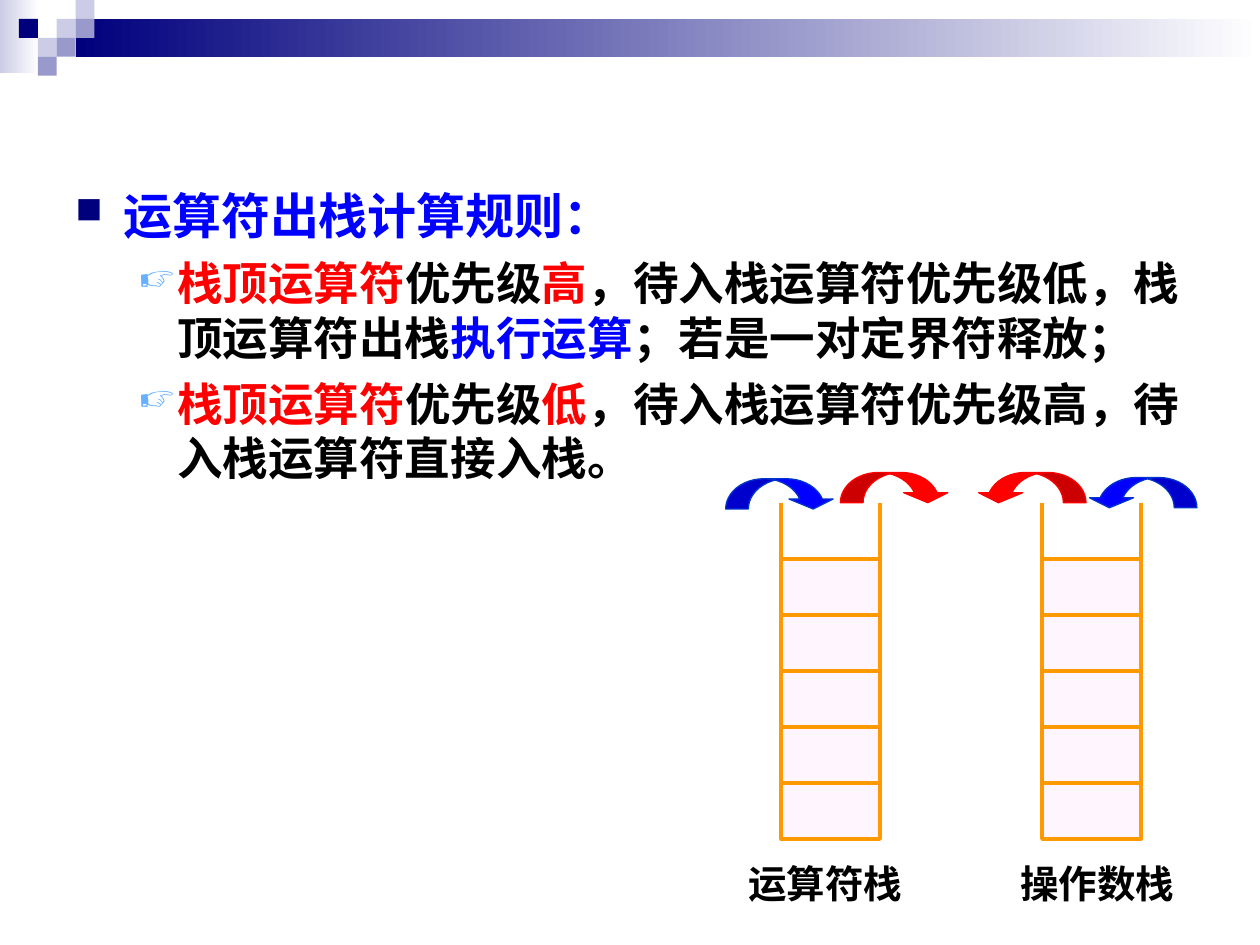
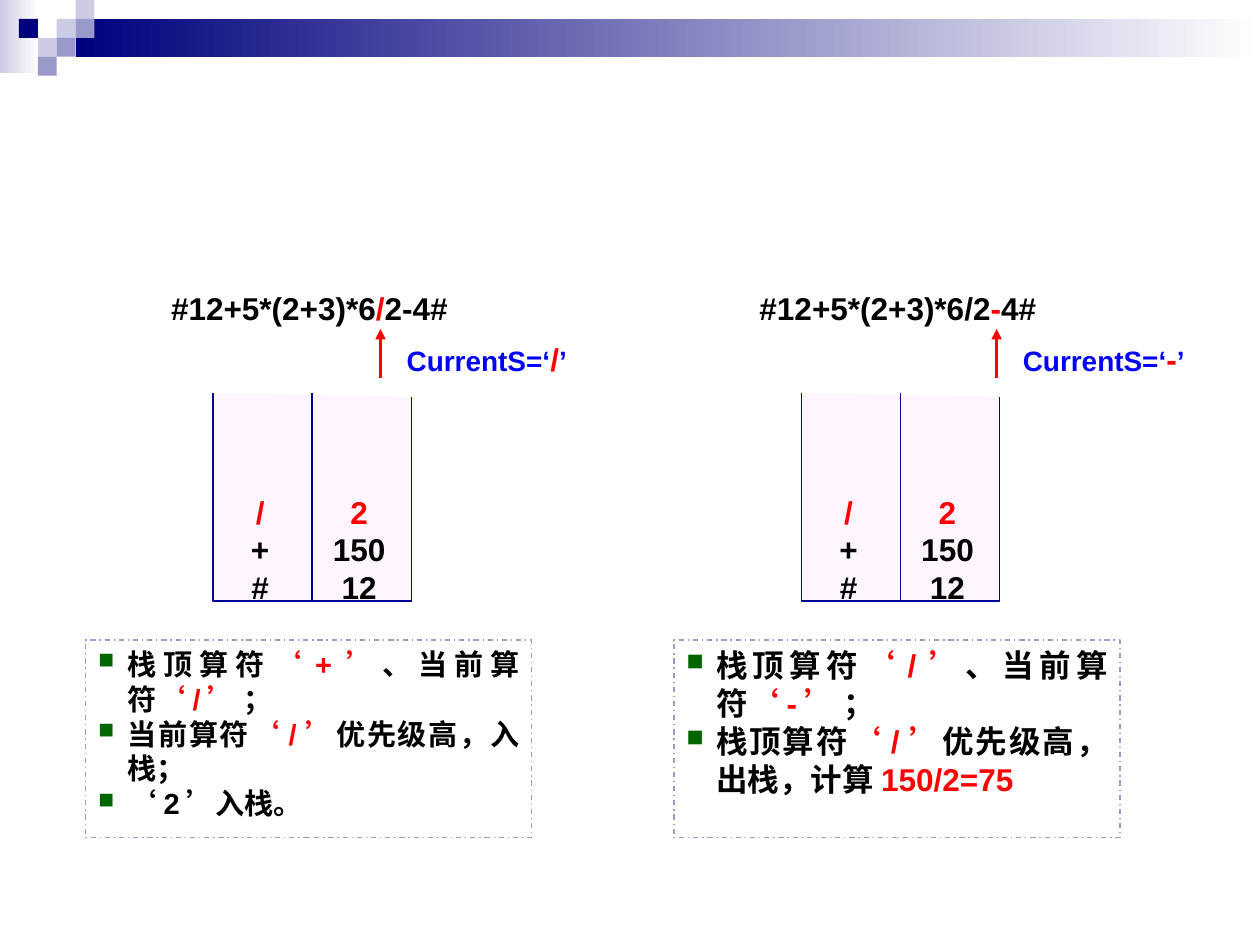
import collections

import lxml.etree
import pptx
import pptx.dml.color
import pptx.enum.dml
import pptx.enum.shapes
import pptx.enum.text
import pptx.oxml.ns
import pptx.util

COLOURS = {
    "navy": "00007D", "lavender": "CCCCE6", "violet": "9999CC", "white": "FFFFFF",
    "black": "000000", "red": "FF0000", "blue": "0000FF", "blue_edge": "0033CC",
    "sky": "67AFFF", "green": "006600", "cell": "FFF5FF", "orange": "FF9900",
    "outline": "000099",
}
FONT, LABEL_FONT = "Arial", "DejaVu Sans"
SHAPE = pptx.enum.shapes.MSO_SHAPE
ALIGN = pptx.enum.text.PP_ALIGN
ANCHOR = pptx.enum.text.MSO_ANCHOR
qn = pptx.oxml.ns.qn

# The slide is a grid of 100 columns by 75 rows
SLIDE_WIDTH, SLIDE_HEIGHT = pptx.util.Inches(10), pptx.util.Inches(7.5)
UNIT = SLIDE_WIDTH // 100

Box = collections.namedtuple("Box", "left top width height")
Bullet = collections.namedtuple("Bullet", "symbol colour percent margin hanging")
Stack = collections.namedtuple("Stack", "box label label_shift arrows")
Step = collections.namedtuple("Step", "box expression current pointer size rules")


def grid(*values):
    return [round(value * UNIT) for value in values]


def inside(box, left, top, width, height):
    return Box(box.left + left, box.top + top, width, height)


def rgb(name):
    return pptx.dml.color.RGBColor.from_string(COLOURS[name])


# Drawing helpers
def style(shape, fill=None, line=None, weight=0.75):
    shape.shadow.inherit = False
    if fill:
        shape.fill.solid()
        shape.fill.fore_color.rgb = rgb(fill)
    else:
        shape.fill.background()
    if line:
        shape.line.color.rgb = rgb(line)
        shape.line.width = pptx.util.Pt(weight)
    else:
        shape.line.fill.background()
    return shape


def add_block(slide, box, fill=None, line=None, weight=0.75, kind=SHAPE.RECTANGLE):
    return style(slide.shapes.add_shape(kind, *grid(*box)), fill, line, weight)


def add_gradient(slide, box, start):
    shape = add_block(slide, box, start)
    shape.fill.gradient()
    shape.fill.gradient_angle = 0
    for stop, name, position in zip(shape.fill.gradient_stops, (start, "white"), (0, 1)):
        stop.color.rgb = rgb(name)
        stop.position = position


def add_line(slide, start, end, colour, weight, arrow=False):
    connector = slide.shapes.add_connector(
        pptx.enum.shapes.MSO_CONNECTOR.STRAIGHT, *grid(*start, *end))
    connector.line.color.rgb = rgb(colour)
    connector.line.width = pptx.util.Pt(weight)
    if arrow:
        lxml.etree.SubElement(connector.line._get_or_add_ln(), qn("a:tailEnd"), type="triangle")
    lxml.etree.SubElement(connector._element.spPr, qn("a:effectLst"))


def add_bullet(paragraph, bullet):
    properties = paragraph._p.get_or_add_pPr()
    margin, hanging = grid(bullet.margin, bullet.hanging)
    properties.set("marL", str(margin))
    properties.set("indent", str(-hanging))
    colour = lxml.etree.SubElement(properties, qn("a:buClr"))
    lxml.etree.SubElement(colour, qn("a:srgbClr"), val=COLOURS[bullet.colour])
    lxml.etree.SubElement(properties, qn("a:buSzPct"), val=str(bullet.percent * 1000))
    lxml.etree.SubElement(properties, qn("a:buChar"), char=bullet.symbol)


def add_runs(paragraph, runs, size, font=FONT):
    """Each run is (text, colour) or (text, colour, size)."""
    for text, colour, *own_size in runs:
        run = paragraph.add_run()
        run.text = text
        run.font.name = font
        run.font.bold = True
        run.font.size = pptx.util.Pt(own_size[0] if own_size else size)
        run.font.color.rgb = rgb(colour)


def write(shape, paragraphs, size, align=ALIGN.LEFT, anchor=ANCHOR.TOP,
          wrap=False, bullet=None, font=FONT):
    frame = shape.text_frame
    frame.word_wrap = wrap
    frame.vertical_anchor = anchor
    for index, runs in enumerate(paragraphs):
        paragraph = frame.add_paragraph() if index else frame.paragraphs[0]
        if bullet:
            add_bullet(paragraph, bullet)
        paragraph.alignment = align
        add_runs(paragraph, runs, size, font)


def add_text(slide, box, paragraphs, size, **options):
    shape = slide.shapes.add_textbox(*grid(*box))
    write(shape, paragraphs, size, **options)
    return shape


# Shared header: fading band and a checker of small squares
SQUARE = 1.5
SQUARES = [(3, 1, "lavender"), (4, 0, "lavender"), (4, 1, "violet"), (2, 2, "lavender"),
           (1, 1, "navy"), (3, 2, "violet"), (2, 3, "violet")]


def draw_header(slide, box):
    add_gradient(slide, inside(box, 0, 0, 3.1, 5.8), "lavender")
    add_gradient(slide, inside(box, 6, SQUARE, box.width - 6, 2 * SQUARE), "navy")
    for column, row, colour in SQUARES:
        add_block(slide, inside(box, column * SQUARE, row * SQUARE, SQUARE, SQUARE), colour)


# Slide 1: rules above two stacks
HEADING = [("运算符出栈计算规则：", "blue")]
RULES = [
    [("栈顶运算符", "red"), ("优先级", "black"), ("高", "red"),
     ("，待入栈运算符优先级低，栈顶运算符出栈", "black"), ("执行运算", "blue"),
     ("；若是一对定界符释放；", "black")],
    [("栈顶运算符", "red"), ("优先级", "black"), ("低", "red"),
     ("，待入栈运算符优先级高，待入栈运算符直接入栈。", "black")],
]
HEADING_BULLET = Bullet("■", "navy", 75, 3.8, 3.8)
RULE_BULLET = Bullet("☞", "sky", 80, 8.1, 3.1)
CELLS = 5
ARROW_EDGES = {"blue": "blue_edge", "red": "red"}
# Arrows are (colour, left, top, mirrored), measured from the stack's corner
STACKS = [
    Stack(Box(62, 39.9, 7.85, 26.7), "运算符栈", -3.6,
          [("blue", -4.4, -1.9, False), ("red", 4.7, -2.4, False)]),
    Stack(Box(82.7, 39.9, 7.85, 26.7), "操作数栈", -2.7,
          [("blue", 3.6, -2, True), ("red", -5.2, -2.4, True)]),
]


def draw_rules(slide, box):
    frame = add_text(slide, box, [HEADING], 28, wrap=True, bullet=HEADING_BULLET).text_frame
    for runs in RULES:
        paragraph = frame.add_paragraph()
        add_bullet(paragraph, RULE_BULLET)
        paragraph.space_before = pptx.util.Pt(6.5)
        add_runs(paragraph, runs, 26)


def draw_stack(slide, stack):
    box = stack.box
    cell_height = box.height / (CELLS + 1)
    for row in range(1, CELLS + 1):
        add_block(slide, inside(box, 0, row * cell_height, box.width, cell_height),
                  "cell", "orange", 2)
    # Open top
    for left in (box.left, box.left + box.width):
        add_line(slide, (left, box.top + cell_height), (left, box.top), "orange", 2)
    for colour, left, top, mirrored in stack.arrows:
        arrow = add_block(slide, inside(box, left, top, 8.7, 2.4), colour,
                          ARROW_EDGES[colour], kind=SHAPE.CURVED_DOWN_ARROW)
        for index, share in enumerate((0.75, 1.46, 0.33)):
            arrow.adjustments[index] = share
        if mirrored:
            arrow._element.spPr.find(qn("a:xfrm")).set("flipH", "1")
    add_text(slide, inside(box, stack.label_shift, box.height + 1.2, 14.2, 4.7),
             [[(stack.label, "black")]], 22, font=LABEL_FONT)


# Slide 2: two steps of the calculation
STEP_BULLET = Bullet("■", "green", 75, 2.35, 2.35)
OPERATORS, OPERANDS = ("/", "+", "#"), ("2", "150", "12")
VALUES_WIDTH = 7
STEPS = [
    Step(Box(6.8, 22.5, 35.4, 44), ("#12+5*(2+3)*6", "/", "2-4# "), "/", 23.4, 16.6, [
        [("栈顶算符", "black"), ("‘+’", "red"), ("、当前算符", "black"),
         ("‘/’ ", "red"), ("；", "black")],
        [("当前算符", "black"), ("‘/’", "red"), ("优先级高，入栈；", "black")],
        [("‘2’入栈。", "black")]]),
    Step(Box(53.5, 22.5, 35.4, 44), ("#12+5*(2+3)*6/2", "-", "4# "), "-", 25.6, 18, [
        [("栈顶算符", "black"), ("‘/’", "red"), ("、当前算符", "black"),
         ("‘-’ ", "red"), ("；", "black")],
        [("栈顶算符", "black"), ("‘/’", "red"), ("优先级高，出栈，计算", "black"),
         ("150/2=75", "red")]]),
]


def draw_double_stack(slide, box):
    right, bottom = box.left + box.width, box.top + box.height
    builder = slide.shapes.build_freeform(*grid(box.left, box.top))
    corners = [(box.left, bottom), (right, bottom), (right, box.top + 0.3)]
    builder.add_line_segments([grid(*corner) for corner in corners], close=False)
    style(builder.convert_to_shape(), "cell", "outline")
    middle = box.left + box.width / 2
    add_line(slide, (middle, box.top), (middle, bottom), "outline", 0.75)
    for left, values in ((0.25, OPERATORS), (8.1, OPERANDS)):
        lines = [[(value, "black" if row else "red")] for row, value in enumerate(values)]
        add_text(slide, inside(box, left, 7.7, VALUES_WIDTH, 9.4), lines, 18,
                 align=ALIGN.CENTER, anchor=ANCHOR.MIDDLE)


def draw_step(slide, step):
    box = step.box
    draw_double_stack(slide, inside(box, 10.1, 8.7, 15.75, 16.5))
    # Explanation
    note = add_block(slide, inside(box, 0, 28.3, box.width, 15.7), line="violet")
    note.line.dash_style = pptx.enum.dml.MSO_LINE.DASH_DOT
    write(note, step.rules, step.size, align=ALIGN.JUSTIFY, wrap=True, bullet=STEP_BULLET)
    # Expression and its current symbol
    expression = add_block(slide, inside(box, 4.7, 0, 26.8, 3.9), "white")
    write(expression, [list(zip(step.expression, ("black", "red", "black")))], 18,
          align=ALIGN.CENTER, anchor=ANCHOR.MIDDLE)
    pointer = box.left + step.pointer
    add_line(slide, (pointer, box.top + 7.5), (pointer, box.top + 3.6), "red", 1.5, arrow=True)
    current = [("CurrentS=‘", "blue"), (step.current, "red", 18), ("’", "blue")]
    add_text(slide, inside(box, step.pointer + 1.1, 4, 15.3, 4), [current], 16,
             anchor=ANCHOR.MIDDLE)


def add_slide(presentation):
    slide = presentation.slides.add_slide(presentation.slide_layouts[6])
    draw_header(slide, Box(0, 0, 100, 6))
    return slide


def main():
    presentation = pptx.Presentation()
    presentation.slide_width, presentation.slide_height = SLIDE_WIDTH, SLIDE_HEIGHT

    rules_slide = add_slide(presentation)
    draw_rules(rules_slide, Box(5, 14.2, 90, 56.7))
    for stack in STACKS:
        draw_stack(rules_slide, stack)

    steps_slide = add_slide(presentation)
    for step in STEPS:
        draw_step(steps_slide, step)

    presentation.save("out.pptx")


if __name__ == "__main__":
    main()
